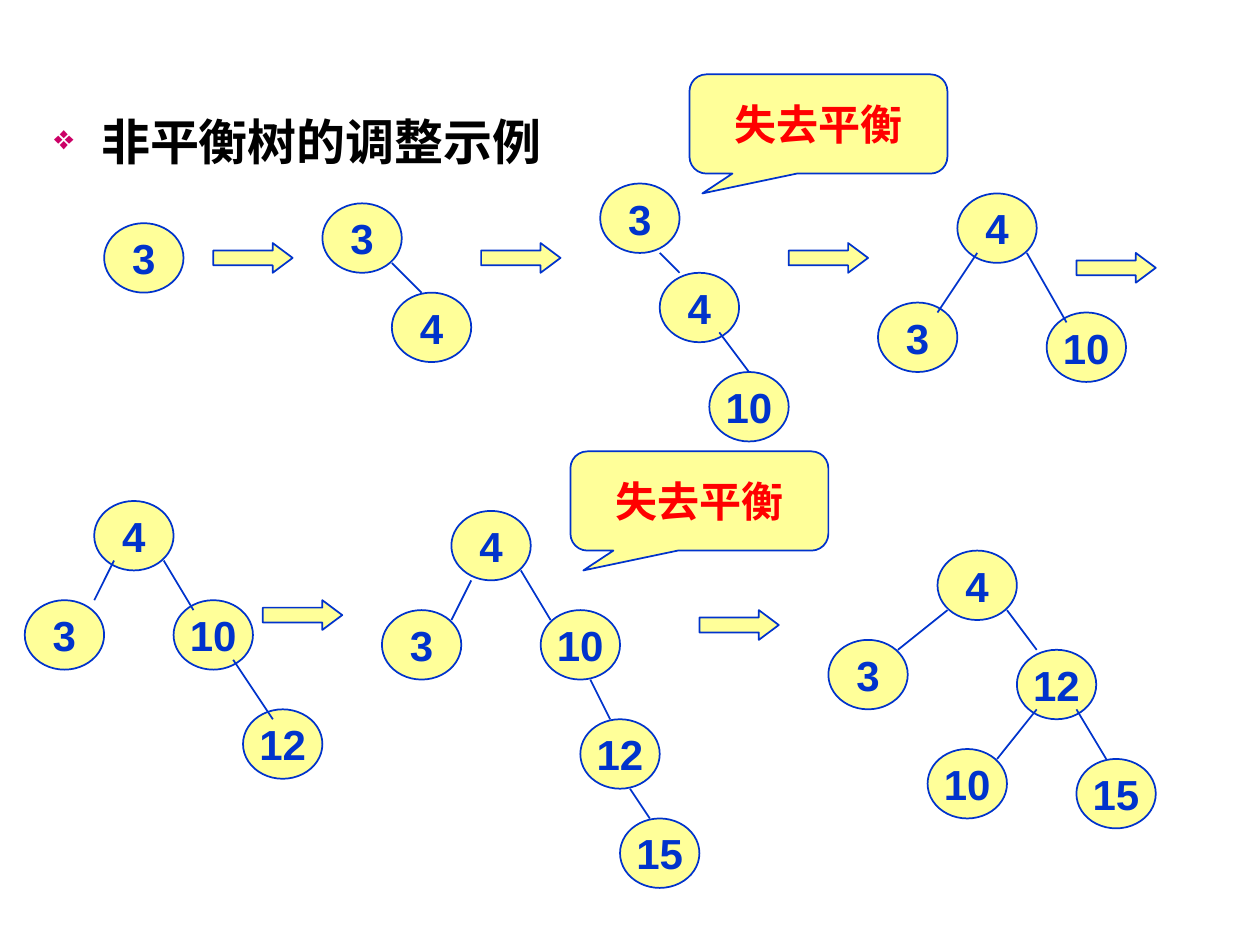
from lxml import etree
from pptx import Presentation
from pptx.dml.color import RGBColor
from pptx.enum import shapes, text
from pptx.oxml.ns import qn
from pptx.util import Cm, Pt

# Content: each tree has nodes (label, left, top) and edges (x1, y1, x2, y2), in cm
TITLE = "非平衡树的调整示例"
WARNING = "失去平衡"
TREES = [
    {"nodes": [("3", 2.1, 4.5)], "edges": []},
    {"nodes": [("3", 6.5, 4.1), ("4", 7.9, 5.9)],
     "edges": [(7.9, 5.3, 8.5, 5.9)]},
    {"nodes": [("3", 12.1, 3.7), ("4", 13.3, 5.5), ("10", 14.3, 7.5)],
     "edges": [(13.3, 5.1, 13.7, 5.5), (14.5, 6.7, 15.1, 7.5)]},
    {"nodes": [("4", 19.3, 3.9), ("3", 17.7, 6.1), ("10", 21.1, 6.3)],
     "edges": [(19.7, 5.1, 18.9, 6.3), (20.7, 5.1, 21.5, 6.5)]},
    {"nodes": [("4", 1.9, 10.1), ("3", 0.5, 12.1), ("10", 3.5, 12.1),
               ("12", 4.9, 14.3)],
     "edges": [(2.3, 11.3, 1.9, 12.1), (3.3, 11.3, 3.9, 12.3),
               (4.7, 13.3, 5.5, 14.5)]},
    {"nodes": [("4", 9.1, 10.3), ("3", 7.7, 12.3), ("10", 10.9, 12.3),
               ("12", 11.7, 14.5), ("15", 12.5, 16.5)],
     "edges": [(9.5, 11.7, 9.1, 12.5), (10.5, 11.5, 11.1, 12.5),
               (11.9, 13.7, 12.3, 14.5), (12.7, 15.9, 13.1, 16.5)]},
    {"nodes": [("4", 18.9, 11.1), ("3", 16.7, 12.9), ("12", 20.5, 13.1),
               ("10", 18.7, 15.1), ("15", 21.7, 15.3)],
     "edges": [(19.1, 12.3, 18.1, 13.1), (20.3, 12.3, 20.9, 13.1),
               (20.9, 14.3, 20.1, 15.3), (21.7, 14.3, 22.3, 15.3)]},
]
ARROWS = [(4.3, 4.9), (9.7, 4.9), (15.9, 4.9), (21.7, 5.1), (5.3, 12.1), (14.1, 12.3)]
CALLOUTS = [(13.9, 1.5), (11.5, 9.1)]

# Format
COLORS = {"fill": "FFFF99", "blue": "0033CC", "red": "FF0000",
          "title": "000000", "bullet": "CC0066"}
NODE_SIZE, ARROW_SIZE, CALLOUT_SIZE = (1.6, 1.4), (1.6, 0.6), (5.2, 2)
KINDS = shapes.MSO_SHAPE


def rgb(name):
    return RGBColor.from_string(COLORS[name])


def write(para, words, size, color):
    span = para.add_run()
    span.text = words
    for key, value in {"name": "Arial", "size": Pt(size), "bold": True}.items():
        setattr(span.font, key, value)
    span.font.color.rgb = rgb(color)


def outline(line):
    line.color.rgb = rgb("blue")
    line.width = Pt(1)


def add_figure(parent, kind, place, size, adjustments=()):
    figure = parent.add_shape(kind, *map(Cm, place + size))
    figure.shadow.inherit = False
    figure.fill.solid()
    figure.fill.fore_color.rgb = rgb("fill")
    outline(figure.line)
    for index, value in enumerate(adjustments):
        figure.adjustments[index] = value
    return figure


def label(figure, words, color, wrap):
    frame = figure.text_frame
    frame.word_wrap = wrap
    frame.vertical_anchor = text.MSO_ANCHOR.MIDDLE
    para = frame.paragraphs[0]
    para.alignment = text.PP_ALIGN.CENTER
    write(para, words, 24, color)


def add_edge(parent, ends):
    edge = parent.add_connector(shapes.MSO_CONNECTOR.STRAIGHT, *map(Cm, ends))
    outline(edge.line)
    etree.SubElement(edge._element.spPr, qn("a:effectLst"))


def add_title(page):
    box = page.shapes.add_textbox(Cm(0.84), Cm(2.13), Cm(23.72), Cm(14.17))
    box.text_frame.word_wrap = True
    para = box.text_frame.paragraphs[0]
    props = para._p.get_or_add_pPr()
    props.set("marL", str(Cm(0.95)))
    props.set("indent", str(-Cm(0.95)))
    bullet_color = etree.SubElement(props, qn("a:buClr"))
    etree.SubElement(bullet_color, qn("a:srgbClr"), val=COLORS["bullet"])
    etree.SubElement(props, qn("a:buSzPct"), val="70000")
    etree.SubElement(props, qn("a:buChar"), char="❖")
    write(para, TITLE, 28, "title")


def main():
    deck = Presentation()
    deck.slide_width, deck.slide_height = Cm(25.4), Cm(19.05)
    page = deck.slides.add_slide(deck.slide_layouts[6])
    add_title(page)

    # Trees: one group for each with edges
    for tree in TREES:
        parent = page.shapes.add_group_shape().shapes if tree["edges"] else page.shapes
        for key, *place in tree["nodes"]:
            node = add_figure(parent, KINDS.OVAL, tuple(place), NODE_SIZE)
            label(node, key, "blue", False)
        for ends in tree["edges"]:
            add_edge(parent, ends)

    # Arrows between the steps
    for place in ARROWS:
        add_figure(page.shapes, KINDS.RIGHT_ARROW, place, ARROW_SIZE, (0.5, 0.67))

    # Warnings over the unbalanced trees
    for place in CALLOUTS:
        callout = add_figure(page.shapes, KINDS.ROUNDED_RECTANGULAR_CALLOUT, place,
                             CALLOUT_SIZE, (-0.45, 0.7, 0.17))
        label(callout, WARNING, "red", True)

    deck.save("out.pptx")


if __name__ == "__main__":
    main()
